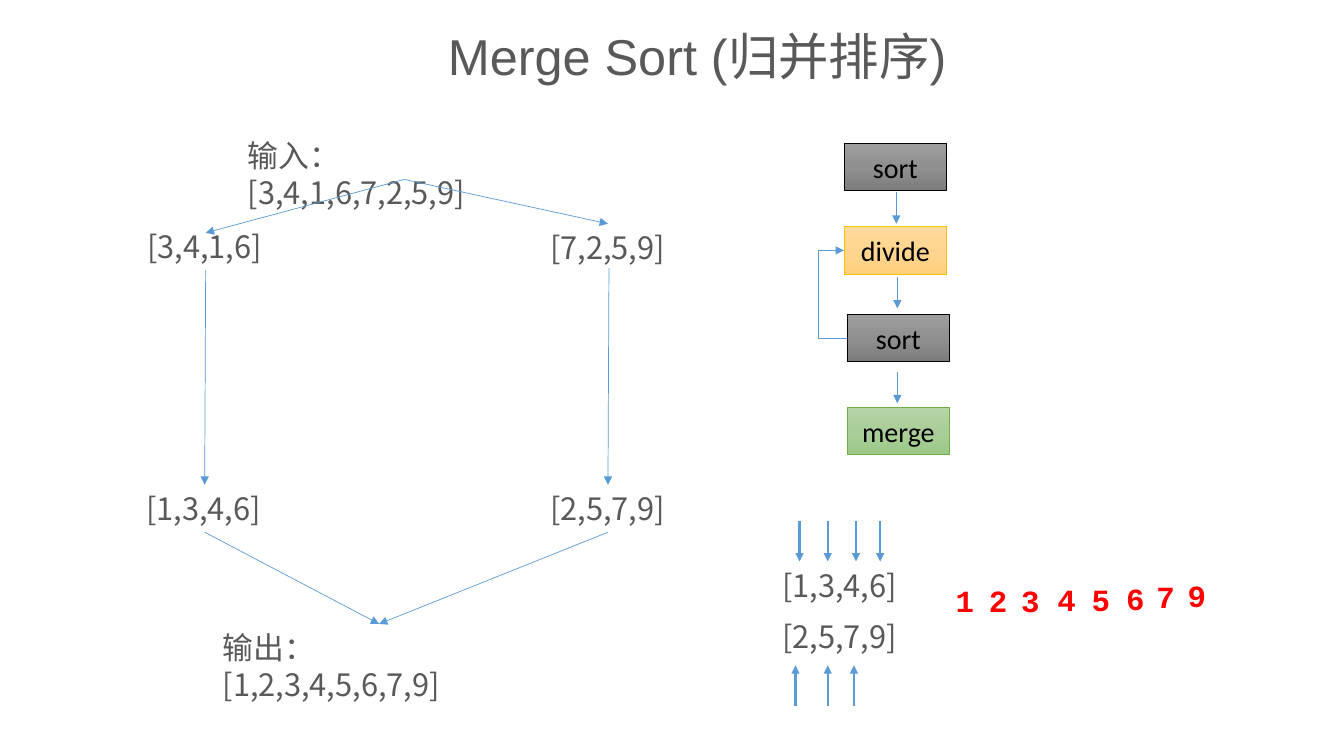
from copy import deepcopy
from dataclasses import dataclass

from lxml import etree
from pptx import Presentation
from pptx.dml.color import RGBColor
from pptx.enum.shapes import MSO_CONNECTOR, MSO_SHAPE
from pptx.enum.text import MSO_ANCHOR, MSO_AUTO_SIZE, PP_ALIGN
from pptx.oxml.ns import qn
from pptx.util import Inches, Pt

STRAIGHT, ELBOW = MSO_CONNECTOR.STRAIGHT, MSO_CONNECTOR.ELBOW
RECTANGLE = MSO_SHAPE.RECTANGLE
MIDDLE = MSO_ANCHOR.MIDDLE
GROW = MSO_AUTO_SIZE.SHAPE_TO_FIT_TEXT
LEFT, CENTER = PP_ALIGN.LEFT, PP_ALIGN.CENTER
LEFT_SIDE = 1


@dataclass(frozen=True)
class Theme:
    cjk: str = "Noto Sans CJK SC"
    title: tuple = ("Arial", 36, "595959", False)
    array: tuple = ("Noto Sans CJK SC", 22, "595959", False)
    digit: tuple = ("Courier New", 22, "FF0000", True)
    step: tuple = ("Calibri", 20, "000000", False)
    arrow: str = "5B9BD5"
    thin: float = 0.5
    thick: float = 1.5
    gray: tuple = ("9D9D9D", "909090", "7C7C7C", "000000")
    amber: tuple = ("FFDB9E", "FFD590", "FFD07C", "FFC000")
    green: tuple = ("B5D5A7", "AACE9A", "9CC987", "70AD47")


class SlideBuilder:
    def __init__(self, page, theme):
        self.page = page
        self.theme = theme

    def fill_text(self, frame, text, style, align):
        para = frame.paragraphs[0]
        para.alignment = align
        span = para.add_run()
        span.text = text
        name, size, color, bold = style
        for key, value in {"name": name, "size": Pt(size), "bold": bold}.items():
            setattr(span.font, key, value)
        span.font.color.rgb = RGBColor.from_string(color)
        properties = span._r.get_or_add_rPr()
        etree.SubElement(properties, qn("a:ea"), typeface=self.theme.cjk)

    def text(self, text, left, top, width, style, height=0.47, align=LEFT, **margins):
        box = self.page.shapes.add_textbox(*map(Inches, (left, top, width, height)))
        frame = box.text_frame
        settings = {"word_wrap": True, "auto_size": GROW}
        settings.update({key: Inches(value) for key, value in margins.items()})
        for key, value in settings.items():
            setattr(frame, key, value)
        self.fill_text(frame, text, style, align)

    def step(self, text, left, top, palette):
        box = self.page.shapes.add_shape(
            RECTANGLE, *map(Inches, (left, top, 1.02, 0.47)))
        box.shadow.inherit = False
        box.fill.gradient()
        box.fill.gradient_angle = 270
        stop_list = box._element.spPr.find(".//" + qn("a:gsLst"))
        stop_list.insert(1, deepcopy(stop_list[0]))
        *shades, outline = palette
        for index, (stop, shade) in enumerate(zip(box.fill.gradient_stops, shades)):
            stop.position = index / 2
            stop.color.rgb = RGBColor.from_string(shade)
        box.line.color.rgb = RGBColor.from_string(outline)
        box.line.width = Pt(self.theme.thin)
        box.text_frame.vertical_anchor = MIDDLE
        self.fill_text(box.text_frame, text, self.theme.step, CENTER)
        return box

    def arrow(self, start, end, weight=None, kind=STRAIGHT):
        arrow = self.page.shapes.add_connector(kind, *map(Inches, (*start, *end)))
        arrow.line.color.rgb = RGBColor.from_string(self.theme.arrow)
        arrow.line.width = Pt(weight or self.theme.thin)
        properties = arrow._element.spPr
        etree.SubElement(properties.find(qn("a:ln")), qn("a:tailEnd"), type="triangle")
        etree.SubElement(properties, qn("a:effectLst"))
        return arrow

    def loop_back(self, source, target, reach):
        loop = self.arrow((8.4, 3.35), (8.37, 2.49), kind=ELBOW)
        loop.begin_connect(source, LEFT_SIDE)
        loop.end_connect(target, LEFT_SIDE)
        bend = round(Inches(reach) / (source.left - target.left) * 100000)
        geometry = loop._element.spPr.find(qn("a:prstGeom"))
        guides = geometry.find(qn("a:avLst"))
        if guides is None:
            guides = etree.SubElement(geometry, qn("a:avLst"))
        etree.SubElement(guides, qn("a:gd"), name="adj1", fmla=f"val {bend}")


def main():
    deck = Presentation()
    deck.slide_width, deck.slide_height = Inches(13.33), Inches(7.5)
    theme = Theme()
    builder = SlideBuilder(deck.slides.add_slide(deck.slide_layouts[6]), theme)

    margins = {f"margin_{side}": 0.05 for side in ("left", "top", "right", "bottom")}
    builder.text("Merge Sort (归并排序)", 3.1, 0.2, 7.63, theme.title,
                 height=0.71, align=CENTER, **margins)

    for text, left, top in (("输入：[3,4,1,6,7,2,5,9]", 2.36, 1.31),
                            ("输出：[1,2,3,4,5,6,7,9]", 2.11, 6.19)):
        builder.text(text, left, top, 3.31, theme.array, margin_right=0.5)

    for text, left, top in (("[3,4,1,6]", 1.36, 2.21), ("[7,2,5,9]", 5.36, 2.22),
                            ("[1,3,4,6]", 1.35, 4.81), ("[2,5,7,9]", 5.36, 4.81),
                            ("[1,3,4,6]", 7.66, 5.57), ("[2,5,7,9]", 7.66, 6.08)):
        builder.text(text, left, top, 1.35, theme.array)

    split, join = (4.01, 1.78), (3.76, 6.19)
    for start, end in ((split, (2.04, 2.31)), (split, (6.03, 2.22)),
                       ((2.04, 2.68), (2.03, 4.81)), ((6.04, 2.66), (6.03, 4.81)),
                       ((2.03, 5.28), join), ((6.03, 5.28), join)):
        builder.arrow(start, end)

    builder.step("sort", 8.37, 1.42, theme.gray)
    divide = builder.step("divide", 8.37, 2.25, theme.amber)
    inner_sort = builder.step("sort", 8.4, 3.12, theme.gray)
    builder.step("merge", 8.4, 4.04, theme.green)
    for x, top, bottom in ((8.89, 1.9, 2.22), (8.9, 2.75, 3.06), (8.9, 3.69, 4)):
        builder.arrow((x, top), (x, bottom))
    builder.loop_back(inner_sort, divide, 0.28)

    for columns, tail, head in (((7.93, 8.21, 8.49, 8.73), 5.17, 5.57),
                                ((7.89, 8.21, 8.47), 7, 6.6)):
        for x in columns:
            builder.arrow((x, tail), (x, head), theme.thick)

    digit_places = ((9.38, 5.72), (9.71, 5.72), (10.03, 5.72), (10.39, 5.71),
                    (10.73, 5.71), (11.07, 5.7), (11.37, 5.68), (11.68, 5.67))
    for digit, (left, top) in zip("12345679", digit_places):
        builder.text(digit, left, top, 0.4, theme.digit)

    deck.save("out.pptx")


if __name__ == "__main__":
    main()
